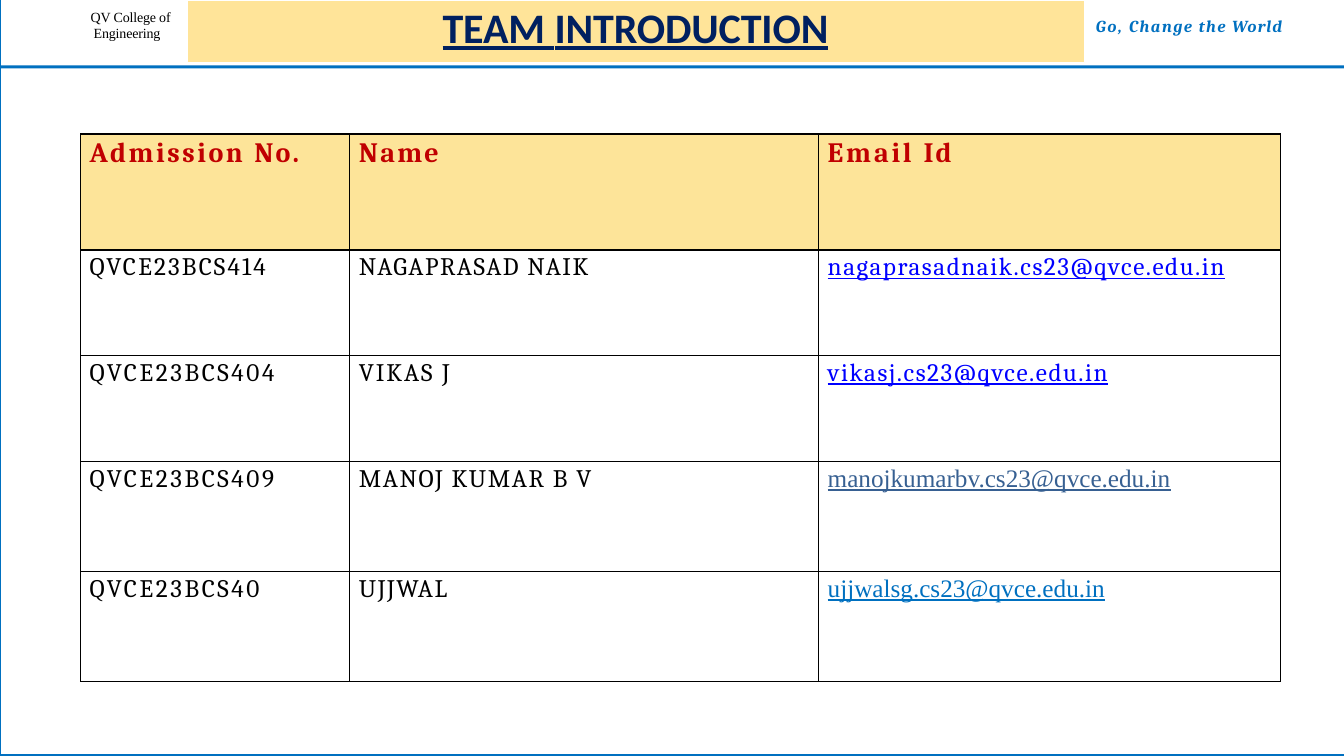
from lxml import etree
from pptx import Presentation
from pptx.dml.color import RGBColor
from pptx.enum import shapes, text
from pptx.oxml import ns
from pptx.util import Inches, Pt

COLORS = {
    "blue": "0070C0", "banner": "FFE499", "header": "FDE499",
    "white": "FFFFFF", "black": "000000", "red": "C00000",
    "navy": "002060", "link": "0000FF", "slate": "376092",
}


def write(frame, spans, size, font, color, before, bold=False, italic=False, underline=False):
    frame.word_wrap = True
    para = frame.paragraphs[0]
    para.alignment = text.PP_ALIGN.LEFT
    para.space_before = Pt(before)
    para.font.size = Pt(size)
    para.font.name = font
    para.font.bold = bold
    para.font.italic = italic
    para.font.underline = underline
    para.font.color.rgb = RGBColor.from_string(COLORS[color])
    for words, spacing in spans:
        span = para.add_run()
        span.text = words
        span._r.get_or_add_rPr().set("spc", str(round(spacing * 100)))


def add_label(left, top, width, height, spans, **style):
    box = page.shapes.add_textbox(Inches(left), Inches(top), Inches(width), Inches(height))
    frame = box.text_frame
    frame.margin_left = frame.margin_top = Inches(0.01)
    frame.margin_right = frame.margin_bottom = 0
    write(frame, spans, before=1, **style)
    return box


deck = Presentation()
deck.slide_width, deck.slide_height = Inches(13.33), Inches(7.5)
page = deck.slides.add_slide(deck.slide_layouts[6])

outline = page.shapes.build_freeform(Inches(13.33), Inches(7.49))
outline.add_line_segments([(0, Inches(7.49)), (0, 0)], close=False)
border = outline.convert_to_shape()
border.shadow.inherit = False
border.fill.background()
border.line.color.rgb = RGBColor.from_string(COLORS["blue"])
border.line.width = Pt(2)

college = add_label(0.88, 0.07, 0.86, 0.36, [("QV College of Engineering", -0.1)],
                    size=10, font="Times New Roman", color="black")
college_props = college.text_frame.paragraphs[0]._p.get_or_add_pPr()
college_props.set("marL", str(Inches(0.04)))
college_props.set("indent", str(Inches(-0.03)))

for left, top, width, height, color in [
    (0, 0.65, 13.33, 0.03, "blue"),
    (1.86, 0, 8.9, 0.62, "banner"),
]:
    bar = page.shapes.add_shape(shapes.MSO_SHAPE.RECTANGLE, Inches(left), Inches(top),
                                Inches(width), Inches(height))
    bar.shadow.inherit = False
    bar.fill.solid()
    bar.fill.fore_color.rgb = RGBColor.from_string(COLORS[color])
    if color == "banner":
        bar.line.color.rgb = RGBColor.from_string(COLORS["white"])
        bar.line.width = Pt(0.75)
    else:
        bar.line.fill.background()

add_label(10.86, 0.15, 1.95, 0.23,
          [("Go, ", 1.2), ("Change ", 1.1), ("the ", 1), ("World", 0.8)],
          size=12, font="Cambria", color="blue", bold=True, italic=True)

headings = [
    [("Admission ", 1.8), ("No.", 1.6)],
    [("Name", 1.6)],
    [("Email ", 2), ("Id", 1.4)],
]
members = [
    [[("QVCE23BCS414", 1.6)], [("NAGAPRASAD NAIK", 1.1)],
     [("nagaprasadnaik.cs23@qvce.edu.in", 1.1)]],
    [[("QVCE23BCS404", 1.9)], [("VIKAS ", 1.4), ("J", 5.2)],
     [("vikasj.cs23@qvce.edu.in", 1.1)]],
    [[("QVCE23BCS409", 1.9)], [("MANOJ KUMAR B V", 1.2)],
     [("manojkumarbv.cs23@qvce.edu.in", 0)]],
    [[("QVCE23BCS40", 1.9)], [("UJJWAL", 1.2)],
     [("ujjwalsg.cs23@qvce.edu.in", 0)]],
]
email_styles = [("Cambria", "link", 2.2), ("Cambria", "link", 2.2),
                ("Times New Roman", "slate", 2.4), ("Times New Roman", "blue", 2.4)]
column_widths = [2.67, 4.65, 4.58]
row_heights = [1.15, 1.05, 1.05, 1.09, 1.09]

team = page.shapes.add_table(5, 3, Inches(0.8), Inches(1.33), Inches(11.9), Inches(5.43)).table
team.first_row = team.horz_banding = False
for column, width in zip(team.columns, column_widths):
    column.width = Inches(width)

for r, cells in enumerate([headings] + members):
    team.rows[r].height = Inches(row_heights[r])
    for c, spans in enumerate(cells):
        cell = team.cell(r, c)
        cell.margin_left, cell.margin_top = Inches(0.09), Inches(0.03)
        cell.margin_right = cell.margin_bottom = 0
        cell.vertical_anchor = text.MSO_ANCHOR.TOP
        props = cell._tc.get_or_add_tcPr()
        for side in ("a:lnL", "a:lnR", "a:lnT", "a:lnB"):
            edge = etree.SubElement(props, ns.qn(side), w=str(Pt(1)))
            fill = etree.SubElement(edge, ns.qn("a:solidFill"))
            etree.SubElement(fill, ns.qn("a:srgbClr"), val=COLORS["black"])
        if r == 0:
            cell.fill.solid()
            cell.fill.fore_color.rgb = RGBColor.from_string(COLORS["header"])
            write(cell.text_frame, spans, 20, "Cambria", "red", 2.2, bold=True)
        else:
            cell.fill.background()
            is_email = c == 2
            font, color, before = email_styles[r - 1] if is_email else ("Cambria", "black", 2.2)
            write(cell.text_frame, spans, 18, font, color, before, underline=is_email)

add_label(4.38, 0.01, 3.88, 0.53, [("TEAM", -0.1), (" ", -0.5), ("INTRODUCTION", -0.1)],
          size=30, font="Calibri", color="navy", bold=True, underline=True)

deck.save("out.pptx")
